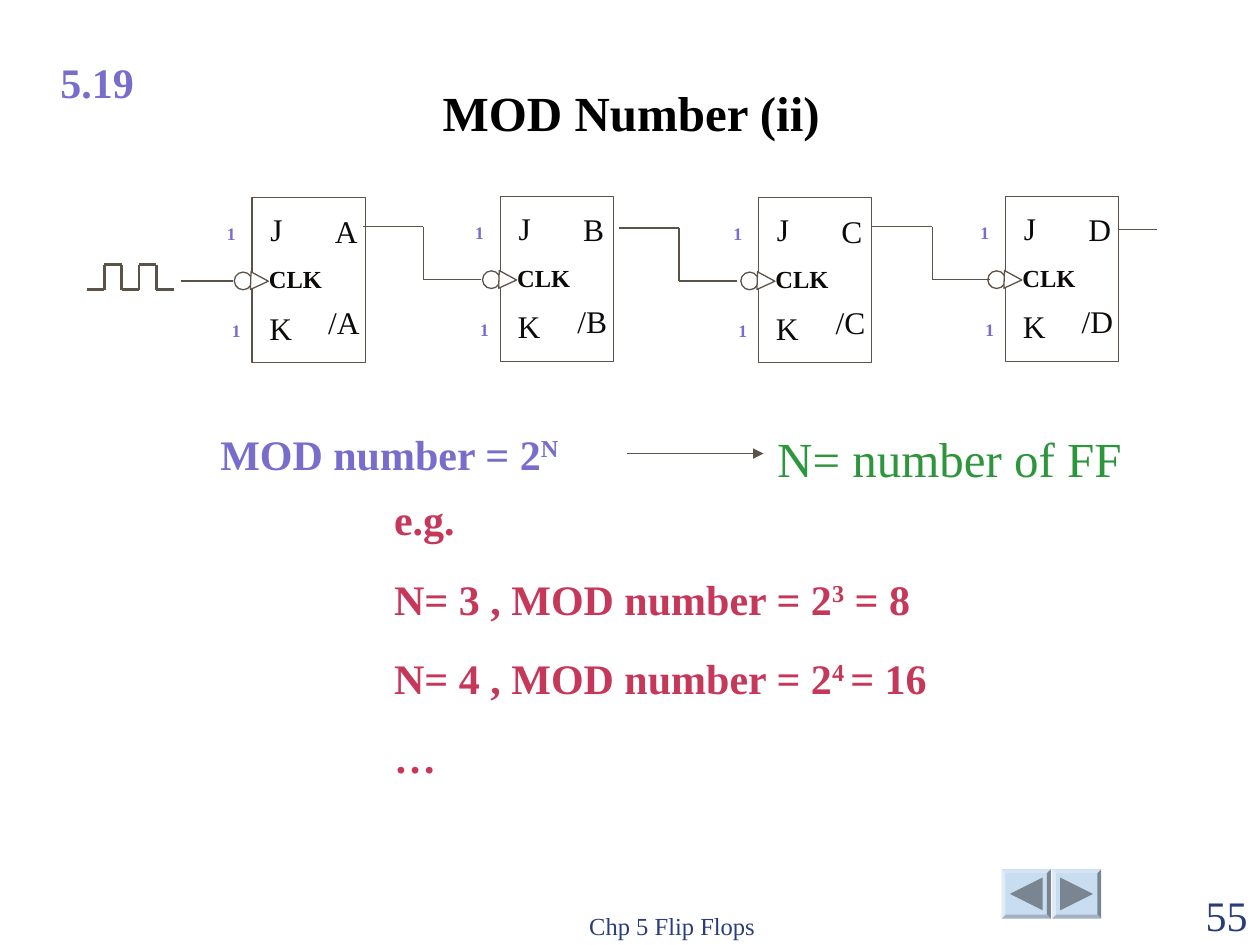
from itertools import pairwise

from lxml import etree
from pptx import Presentation
from pptx.dml.color import RGBColor
from pptx.enum import shapes as kinds, text as styles
from pptx.oxml import ns
from pptx.util import Inches, Pt

INK = "5B5249"
LABEL = "0C0B0A"
VIOLET = "786DCB"
GREEN = "2D953C"
CRIMSON = "C6385A"
NAVY = "2A3D7A"
LEFT, CENTER, RIGHT = styles.PP_ALIGN.LEFT, styles.PP_ALIGN.CENTER, styles.PP_ALIGN.RIGHT


def rgb(value):
    return RGBColor.from_string(value)


def add_text(parent, lines, box, size, color, bold=False, align=CENTER,
             wrap=True, bottom=False, gap=0):
    frame = parent.add_textbox(*map(Inches, box)).text_frame
    frame.word_wrap = wrap
    if bottom:
        frame.vertical_anchor = styles.MSO_ANCHOR.BOTTOM
    for index, line in enumerate(lines):
        paragraph = frame.paragraphs[0] if index == 0 else frame.add_paragraph()
        paragraph.alignment = align
        if index:
            paragraph.space_before = Pt(gap)
        font = paragraph.font
        font.name, font.size, font.bold = "Times New Roman", Pt(size), bold
        font.color.rgb = rgb(color)
        for position, part in enumerate(line.split("^")):
            run = paragraph.add_run()
            run.text = part
            if position % 2:
                run._r.get_or_add_rPr().set("baseline", "30000")


def add_line(parent, start, end, width=0.75, arrow=False):
    line = parent.add_connector(kinds.MSO_CONNECTOR.STRAIGHT, *map(Inches, (*start, *end)))
    line.line.color.rgb = rgb(INK)
    line.line.width = Pt(width)
    if arrow:
        etree.SubElement(line.line._get_or_add_ln(), ns.qn("a:tailEnd"), type="triangle")
    etree.SubElement(line._element.spPr, ns.qn("a:effectLst"))


def add_polyline(parent, points, width=0.75):
    group = parent.add_group_shape().shapes
    for start, end in pairwise(points):
        add_line(group, start, end, width)


def add_symbol(parent, kind, box, rotation=0):
    symbol = parent.add_shape(kind, *map(Inches, box))
    symbol.shadow.inherit = False
    symbol.rotation = rotation
    symbol.fill.solid()
    symbol.fill.fore_color.rgb = rgb("FFFFFF")
    symbol.line.color.rgb = rgb(INK)
    symbol.line.width = Pt(0.75)


def add_flip_flop(parent, x, y, output):
    group = parent.add_group_shape().shapes
    preset = kinds.MSO_SHAPE
    add_symbol(group, preset.RECTANGLE, (x, y, 0.9, 1.31))
    add_symbol(group, preset.OVAL, (x - 0.14, y + 0.59, 0.14, 0.14))
    add_symbol(group, preset.ISOSCELES_TRIANGLE, (x - 0.01, y + 0.59, 0.14, 0.14), 91.9)
    pins = [("J", 0.02, 0.05, 0.35), ("K", 0.04, 0.83, 0.35),
            (output, 0.56, 0.06, 0.35), ("/" + output, 0.49, 0.79, 0.48)]
    for pin, dx, dy, width in pins:
        add_text(group, [pin], (x + dx, y + dy, width, 0.4), 18, LABEL)
    add_text(group, ["CLK"], (x, y + 0.48, 0.69, 0.34), 14, LABEL, bold=True)
    for dx, dy in [(-0.3, 0.15), (-0.26, 0.92)]:
        add_text(group, ["1"], (x + dx, y + dy, 0.27, 0.27), 10, VIOLET,
                 bold=True, wrap=False)


def add_polygon(parent, points, color):
    builder = parent.build_freeform(*map(Inches, points[0]), scale=1.0)
    builder.add_line_segments([tuple(map(Inches, point)) for point in points[1:]])
    polygon = builder.convert_to_shape()
    polygon.shadow.inherit = False
    polygon.fill.solid()
    polygon.fill.fore_color.rgb = rgb(color)
    polygon.line.fill.background()


def add_nav_button(parent, x, y, direction):
    group = parent.add_group_shape().shapes
    side, bevel = 0.39, 0.03

    def corners(inset):
        near, far = inset, side - inset
        return [(x + near, y + near), (x + far, y + near),
                (x + far, y + far), (x + near, y + far)]

    outer, inner = corners(0), corners(bevel)
    add_polygon(group, outer, "C9DDF1")
    for edge, color in enumerate(["D4E4F4", "798591", "A1B1C1", "DFEBF7"]):
        after = (edge + 1) % 4
        add_polygon(group, [outer[edge], outer[after], inner[after], inner[edge]], color)
    middle_x, middle_y, reach = x + side / 2, y + side / 2, 0.13
    base = middle_x - direction * reach
    add_polygon(group, [(middle_x + direction * reach, middle_y),
                        (base, middle_y - reach), (base, middle_y + reach)], "798591")


def main():
    deck = Presentation()
    deck.slide_width, deck.slide_height = Inches(10), Inches(7.5)
    canvas = deck.slides.add_slide(deck.slide_layouts[6]).shapes

    add_nav_button(canvas, 7.95, 6.9, -1)
    add_nav_button(canvas, 8.35, 6.9, 1)

    add_text(canvas, ["MOD Number (ii)"], (2.06, 0.56, 5.9, 0.61), 28, "000000",
             bold=True, bottom=True)
    add_text(canvas, ["5.19"], (0.38, 0.4, 0.78, 0.5), 24, VIOLET,
             bold=True, align=LEFT, wrap=False)

    add_text(canvas, ["MOD number = 2^N"], (1.65, 3.35, 3.92, 0.5), 24, VIOLET,
             bold=True, align=LEFT)
    add_line(canvas, (4.98, 3.6), (6.06, 3.6), arrow=True)
    add_text(canvas, ["N= number of FF"], (6.07, 3.35, 2.93, 0.57), 28, GREEN, wrap=False)
    examples = ["e.g.", "N= 3 , MOD number = 2^3^ = 8", "N= 4 , MOD number = 2^4 ^= 16", "…"]
    add_text(canvas, examples, (3.03, 3.87, 4.43, 2.33), 24, CRIMSON,
             bold=True, align=LEFT, wrap=False, gap=16.5)

    low, high, step = 2.3, 2.1, 0.138
    levels = [low, low, high, high, low, low, high, high, low, low]
    pulse = [(0.69 + step * ((i + 1) // 2), level) for i, level in enumerate(levels)]
    add_polyline(canvas, pulse, 1.5)
    add_line(canvas, (1.44, 2.23), (1.85, 2.23))

    for x, y, output in [(2, 1.57, "A"), (3.97, 1.56, "B"), (6.02, 1.57, "C"), (7.98, 1.56, "D")]:
        add_flip_flop(canvas, x, y, output)
    for x, y in [(2.88, 1.8), (4.91, 1.81), (6.92, 1.8)]:
        turn, clock = x + 0.48, y + 0.42
        add_polyline(canvas, [(x, y), (turn, y), (turn, clock), (turn + 0.46, clock)])
    add_line(canvas, (8.88, 1.82), (9.18, 1.82))

    add_text(canvas, ["Chp 5 Flip Flops"], (3.75, 7.01, 3.17, 0.5), 14, NAVY, bottom=True)
    add_text(canvas, ["55"], (9, 7.01, 1, 0.5), 24, NAVY, align=RIGHT, bottom=True)

    deck.save("out.pptx")


if __name__ == "__main__":
    main()
